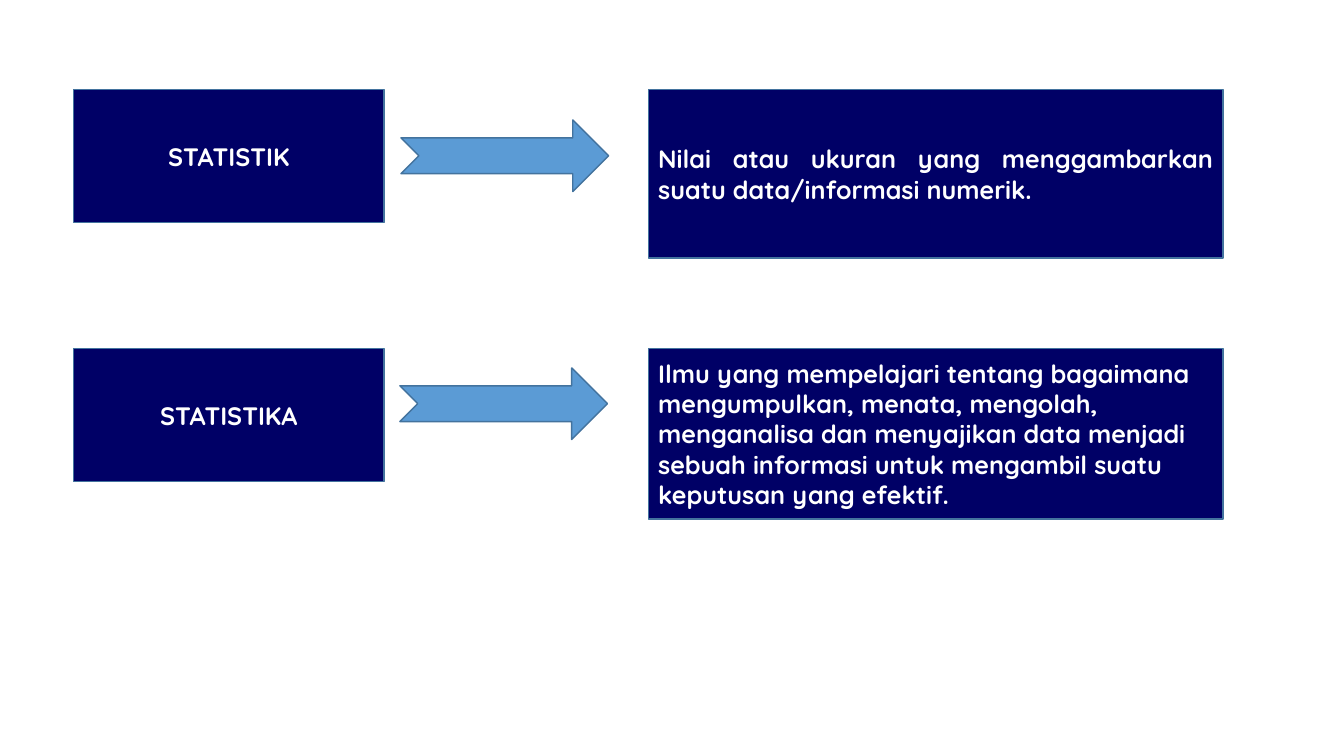
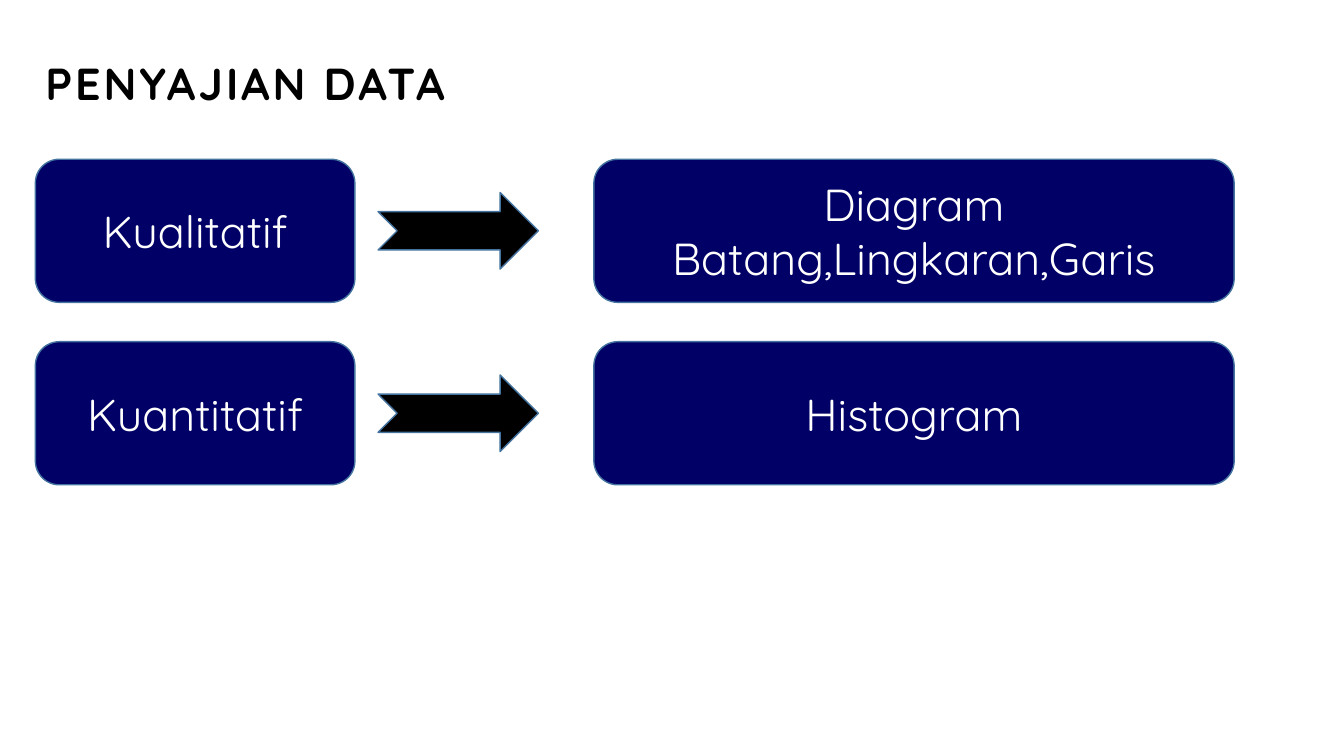
from pptx import Presentation
from pptx.dml.color import RGBColor
from pptx.enum.shapes import MSO_SHAPE as Preset
from pptx.enum.text import MSO_ANCHOR as Anchor, MSO_AUTO_SIZE as AutoSize, PP_ALIGN as Align
from pptx.util import Inches, Pt

COLORS = {"navy": "000066", "blue": "5B9BD5", "edge": "43739E", "black": "000000", "white": "FFFFFF"}
FONT = "Quicksand"

deck = Presentation()
deck.slide_width, deck.slide_height = Inches(13.33), Inches(7.5)
COL, ROW = deck.slide_width / 100, deck.slide_height / 100


def write(shape, text, size, color, bold, align):
    frame = shape.text_frame
    frame.word_wrap = True
    frame.auto_size = AutoSize.NONE
    frame.vertical_anchor = Anchor.MIDDLE
    paragraph = frame.paragraphs[0]
    paragraph.alignment = align
    run = paragraph.add_run()
    run.text = text
    run.font.name, run.font.size, run.font.bold = FONT, Pt(size), bold
    run.font.color.rgb = RGBColor.from_string(COLORS[color])
    return run


def draw(slide, preset, left, top, width, height, fill):
    shape = slide.shapes.add_shape(
        preset, int(left * COL), int(top * ROW), int(width * COL), int(height * ROW))
    shape.shadow.inherit = False
    shape.fill.solid()
    shape.fill.fore_color.rgb = RGBColor.from_string(COLORS[fill])
    shape.line.color.rgb = RGBColor.from_string(COLORS["edge"])
    shape.line.width = Pt(1)
    return shape


definitions = deck.slides.add_slide(deck.slide_layouts[6])
terms = [
    ("STATISTIK", 11.87, 29.83, 15.87, 22.27, Align.JUSTIFY,
     "Nilai atau ukuran yang menggambarkan suatu data/informasi numerik."),
    ("STATISTIKA", 46.13, 29.75, 48.67, 22.53, Align.LEFT,
     "Ilmu yang mempelajari tentang bagaimana mengumpulkan, menata, mengolah, "
     "menganalisa dan menyajikan data menjadi sebuah informasi untuk mengambil "
     "suatu keputusan yang efektif."),
]
for term, top, arrow_left, arrow_top, meaning_height, align, meaning in terms:
    term_box = draw(definitions, Preset.RECTANGLE, 5.48, top, 23.1, 17.6, "navy")
    write(term_box, term, 18, "white", True, Align.CENTER)
    draw(definitions, Preset.NOTCHED_RIGHT_ARROW, arrow_left, arrow_top, 15.45, 9.47, "blue")
    meaning_box = draw(definitions, Preset.RECTANGLE, 48.24, top, 42.76, meaning_height, "navy")
    write(meaning_box, meaning, 18, "white", True, align)

presentation_of_data = deck.slides.add_slide(deck.slide_layouts[5])
heading = presentation_of_data.shapes.title
heading.left, heading.top = int(2.63 * COL), int(3.33 * ROW)
heading.width, heading.height = int(68.79 * COL), int(15.33 * ROW)
heading_run = write(heading, "PENYAJIAN DATA", 32, "black", True, Align.LEFT)
heading_run.font._element.set("spc", "200")

first_row, row_pitch, box_height, arrow_height = 21.07, 24.13, 18.93, 10.13
data_kinds = [("Kualitatif", "Diagram Batang,Lingkaran,Garis"), ("Kuantitatif", "Histogram")]
for index, (data_kind, charts) in enumerate(data_kinds):
    top = first_row + index * row_pitch
    arrow_top = top + (box_height - arrow_height) / 2
    draw(presentation_of_data, Preset.NOTCHED_RIGHT_ARROW, 28.13, arrow_top, 11.93, arrow_height, "black")
    for left, width, text in [(2.63, 23.78, data_kind), (44.19, 47.64, charts)]:
        box = draw(presentation_of_data, Preset.ROUNDED_RECTANGLE, left, top, width, box_height, "navy")
        write(box, text, 32, "white", False, Align.CENTER)

deck.save("out.pptx")
